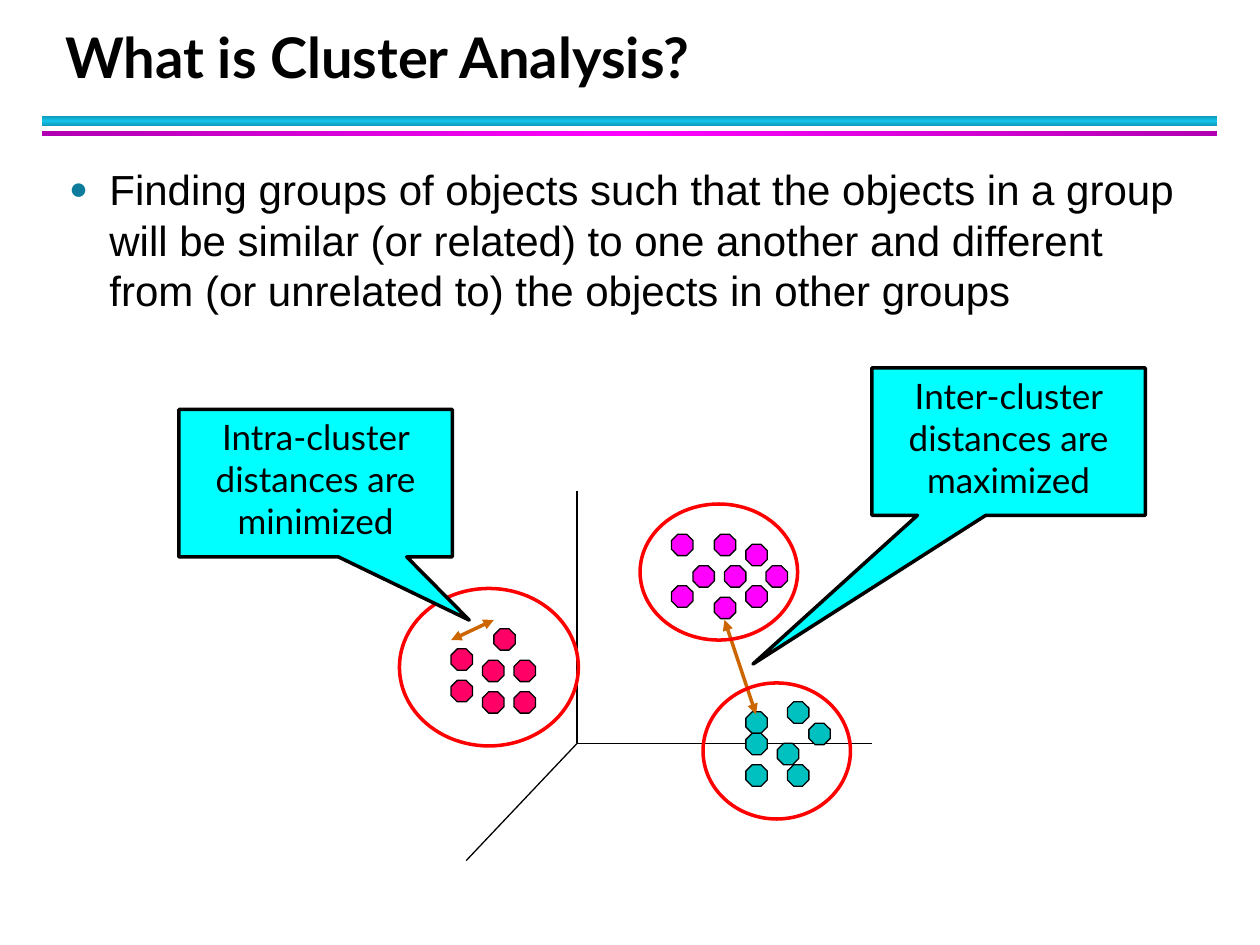
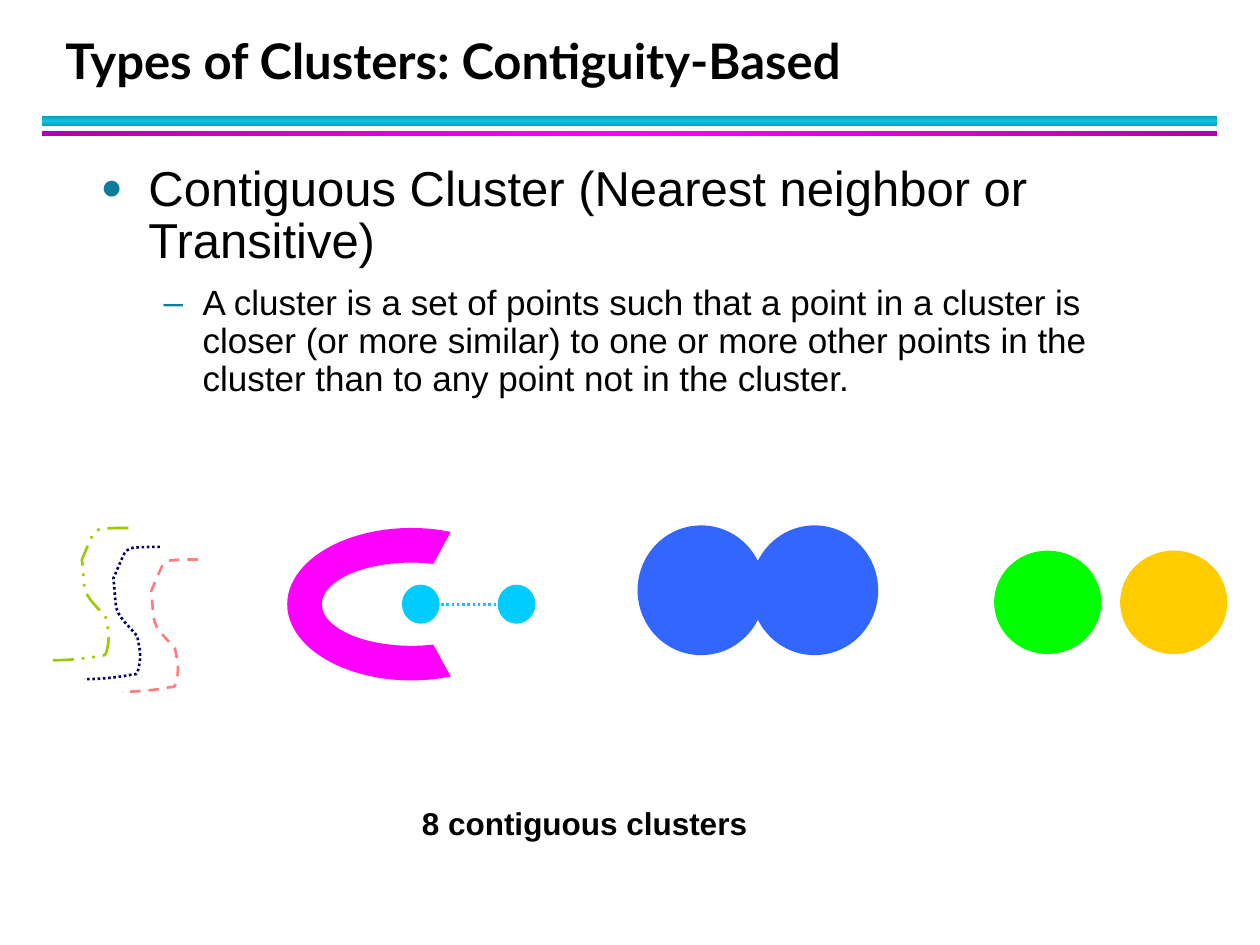
import copy
import pptx
import pptx.dml.color
import pptx.enum.shapes
import pptx.enum.text
import pptx.oxml.ns
import pptx.oxml.xmlchemy
import pptx.util
from lxml import etree

Inches = pptx.util.Inches
Pt = pptx.util.Pt
qn = pptx.oxml.ns.qn
KIND = pptx.enum.shapes.MSO_SHAPE
ALIGN = pptx.enum.text.PP_ALIGN
ANCHOR = pptx.enum.text.MSO_ANCHOR

HEAD_FONT, BODY_FONT = "Lato", "Arial"
BLACK, TEAL, RED, BROWN = "000000", "0C7B9C", "FF0000", "CC6600"
CYAN, PINK, SKY, BLUE = "00FFFF", "FF00FF", "00CCFF", "3366FF"


def hue(code):
    return pptx.dml.color.RGBColor.from_string(code)


def tag(parent, name, **values):
    return etree.SubElement(parent, qn(name), values)


class Deck:
    """Holds the shared style and the slide being filled."""

    def __init__(self):
        self.show = pptx.Presentation()
        self.show.slide_width = Inches(10)
        self.show.slide_height = Inches(7.5)
        self.shapes = None

    def start(self, title, size):
        """Add a slide with its two bands and its title."""
        slide = self.show.slides.add_slide(self.show.slide_layouts[6])
        self.shapes = slide.shapes
        self.band(0.92, 0.08, 90, "0E9AB9", "12C2E9")
        self.band(1.04, 0.04, 0, "B100B1", PINK)
        frame = self.box(0.42, 0.17, 9.06, 0.59)
        frame.vertical_anchor = ANCHOR.BOTTOM
        para = frame.paragraphs[0]
        para.line_spacing = Pt(36)
        self.run(para, title, size, HEAD_FONT, bold=True)

    def band(self, top, height, angle, edge, middle):
        """Draw a bar that shades from edge to middle and back."""
        bar = self.shape(KIND.RECTANGLE, 0.33, top, 9.33, height)
        bar.fill.gradient()
        bar.fill.gradient_angle = angle
        stops = bar._element.spPr.find(".//" + qn("a:gsLst"))
        stops.append(copy.deepcopy(stops[0]))
        for stop, place, code in zip(bar.fill.gradient_stops, (0, 0.5, 1), (edge, middle, edge)):
            stop.position = place
            stop.color.rgb = hue(code)

    def box(self, left, top, width, height):
        frame = self.shapes.add_textbox(*map(Inches, (left, top, width, height))).text_frame
        frame.word_wrap = True
        return frame

    def run(self, para, text, size, font=BODY_FONT, bold=False):
        run = para.add_run()
        run.text = text
        run.font.size = Pt(size)
        run.font.name = font
        run.font.bold = bold
        run.font.color.rgb = hue(BLACK)

    def point(self, para, text, size, mark, indent, hang, before, line=None, scale=100):
        """Fill a paragraph with a hanging bullet mark."""
        para.space_before, para.space_after = Pt(before), Pt(4)
        para.line_spacing = line
        props = para._p.get_or_add_pPr()
        props.set("marL", str(Inches(indent)))
        props.set("indent", str(-Inches(hang)))
        tag(tag(props, "a:buClr"), "a:srgbClr", val=TEAL)
        tag(props, "a:buSzPct", val=str(scale * 1000))
        tag(props, "a:buFont", typeface=BODY_FONT)
        tag(props, "a:buChar", char=mark)
        self.run(para, text, size)

    def shape(self, kind, left, top, width, height, fill=None, edge=None, weight=0.75):
        item = self.shapes.add_shape(kind, *map(Inches, (left, top, width, height)))
        self.paint(item, fill, edge, weight)
        return item

    def paint(self, item, fill, edge, weight):
        item.shadow.inherit = False
        if fill:
            item.fill.solid()
            item.fill.fore_color.rgb = hue(fill)
        else:
            item.fill.background()
        if edge:
            self.stroke(item, edge, weight)
        else:
            item.line.fill.background()

    def stroke(self, item, code, weight, dash=None, heads=False):
        item.line.color.rgb = hue(code)
        item.line.width = Pt(weight)
        line = item._element.spPr.find(qn("a:ln"))
        if dash:
            tag(line, "a:prstDash", val=dash)
        if heads:
            tag(line, "a:headEnd", type="triangle")
            tag(line, "a:tailEnd", type="triangle")

    def line(self, start, end, code=BLACK, weight=0.75, dash=None, heads=False):
        ends = map(Inches, (*start, *end))
        item = self.shapes.add_connector(pptx.enum.shapes.MSO_CONNECTOR.STRAIGHT, *ends)
        self.stroke(item, code, weight, dash, heads)
        tag(item._element.spPr, "a:effectLst")

    def curve(self, points, code, weight, dash):
        """Draw cubic curves: a start, then three points for each."""
        start, *rest = [tuple(map(Inches, point)) for point in points]
        maker = self.shapes.build_freeform(*start)
        maker.add_line_segments(rest, close=False)
        item = maker.convert_to_shape()
        self.paint(item, None, None, weight)
        self.stroke(item, code, weight, dash)
        steps = item._element.spPr.findall(".//" + qn("a:lnTo"))
        route = steps[0].getparent()
        for first in range(0, len(steps), 3):
            bend = tag(route, "a:cubicBezTo")
            for step in steps[first:first + 3]:
                bend.append(step[0])
                route.remove(step)

    def callout(self, left, top, text, tip):
        item = self.shape(KIND.RECTANGULAR_CALLOUT, left, top, 2.17, 1.17, CYAN, BLACK, 2)
        item.adjustments[0], item.adjustments[1] = tip
        frame = item.text_frame
        frame.word_wrap = True
        frame.vertical_anchor = ANCHOR.TOP
        para = frame.paragraphs[0]
        para.alignment = ALIGN.CENTER
        para.space_before = Pt(12.5)
        self.run(para, text, 20, HEAD_FONT)


def draw_intro(deck):
    deck.start("What is Cluster Analysis?", 32)
    body = deck.box(0.45, 1.25, 9.1, 1.42)
    deck.point(body.paragraphs[0],
               "Finding groups of objects such that the objects in a group will be similar "
               "(or related) to one another and different from (or unrelated to) the objects "
               "in other groups", 24, "●", 0.32, 0.32, 3, scale=75)

    origin = (4.58, 5.9)
    for end in ((4.58, 3.9), (6.92, 5.9), (3.7, 6.83)):
        deck.line(origin, end)

    groups = {
        PINK: ((5.5, 4.49), (5.75, 4.49), (5.67, 4.24), (5.67, 4.74), (6.08, 4.49),
               (5.92, 4.32), (5.33, 4.24), (5.92, 4.65), (5.33, 4.65)),
        "FF0066": ((3.58, 5.15), (3.83, 5.24), (3.83, 5.49), (4.08, 5.24), (3.92, 4.99),
                   (4.08, 5.49), (3.58, 5.4)),
        "00C0C0": ((5.92, 5.65), (6.42, 5.74), (6.17, 5.9), (5.92, 6.07), (6.25, 6.07),
                   (5.92, 5.82), (6.25, 5.57)),
    }
    for code, dots in groups.items():
        for left, top in dots:
            deck.shape(KIND.OCTAGON, left, top, 0.17, 0.17, code, BLACK)

    deck.line((6, 5.67), (5.75, 4.92), BROWN, 2, heads=True)
    deck.callout(6.92, 2.92, "Inter-cluster distances are maximized", (-0.935, 1.509))
    for ring in ((3.17, 4.67, 1.42, 1.25), (5.08, 4, 1.25, 1.08), (5.58, 5.42, 1.17, 1.08)):
        deck.shape(KIND.OVAL, *ring, edge=RED, weight=2)
    deck.line((3.58, 5.08), (3.92, 4.92), BROWN, 2, heads=True)
    deck.callout(1.42, 3.25, "Intra-cluster distances are minimized", (0.562, 0.929))


def draw_types(deck):
    deck.start("Types of Clusters: Contiguity-Based", 28)
    body = deck.box(0.7, 1.25, 8.75, 5.59)
    deck.point(body.paragraphs[0], "Contiguous Cluster (Nearest neighbor or Transitive)",
               28, "●", 0.38, 0.38, 7, 0.9, 75)
    para = body.add_paragraph()
    para.level = 1
    deck.point(para,
               "A cluster is a set of points such that a point in a cluster is closer "
               "(or more similar) to one or more other points in the cluster than to any "
               "point not in the cluster.", 20, "–", 0.81, 0.31, 5, 0.9)

    wave = ((1.02, 4.19), (0.94, 4.19), (0.86, 4.19), (0.79, 4.2), (0.77, 4.21),
            (0.75, 4.22), (0.74, 4.24), (0.73, 4.25), (0.66, 4.42), (0.65, 4.44),
            (0.66, 4.51), (0.66, 4.58), (0.67, 4.65), (0.68, 4.75), (0.78, 4.82),
            (0.84, 4.9), (0.86, 5.01), (0.88, 5.06), (0.84, 5.19), (0.83, 5.21),
            (0.79, 5.2), (0.77, 5.21), (0.65, 5.23), (0.53, 5.24), (0.42, 5.24))
    for right, down, code, dash in ((0, 0, "99CC00", "lgDashDotDot"),
                                    (0.25, 0.15, "000066", "sysDot"),
                                    (0.55, 0.25, "FF7C80", "dash")):
        deck.curve([(x + right, y + down) for x, y in wave], code, 1.5, dash)

    arc = deck.shape(KIND.BLOCK_ARC, 2.66, 3.81, 1.21, 1.97, PINK)
    arc.rotation = 270
    for index, value in enumerate((90.863, 17.137, 0.227)):
        arc.adjustments[index] = value

    for left, top, width, height, code in (
            (3.19, 4.64, 0.3, 0.31, SKY), (3.95, 4.64, 0.3, 0.31, SKY),
            (7.89, 4.37, 0.85, 0.82, "00FF00"), (8.89, 4.37, 0.85, 0.82, "FFCC00"),
            (5.06, 4.17, 1.01, 1.03, BLUE), (5.96, 4.17, 1.01, 1.03, BLUE)):
        deck.shape(KIND.OVAL, left, top, width, height, code)
    deck.line((3.5, 4.8), (3.95, 4.8), SKY, 1.5, "sysDot")

    para = deck.box(3.25, 6.33, 3.5, 0.4).paragraphs[0]
    para.space_before = Pt(11.2)
    deck.run(para, "8 contiguous clusters", 18, bold=True)


def main():
    deck = Deck()
    draw_intro(deck)
    draw_types(deck)
    deck.show.save("out.pptx")


if __name__ == "__main__":
    main()
